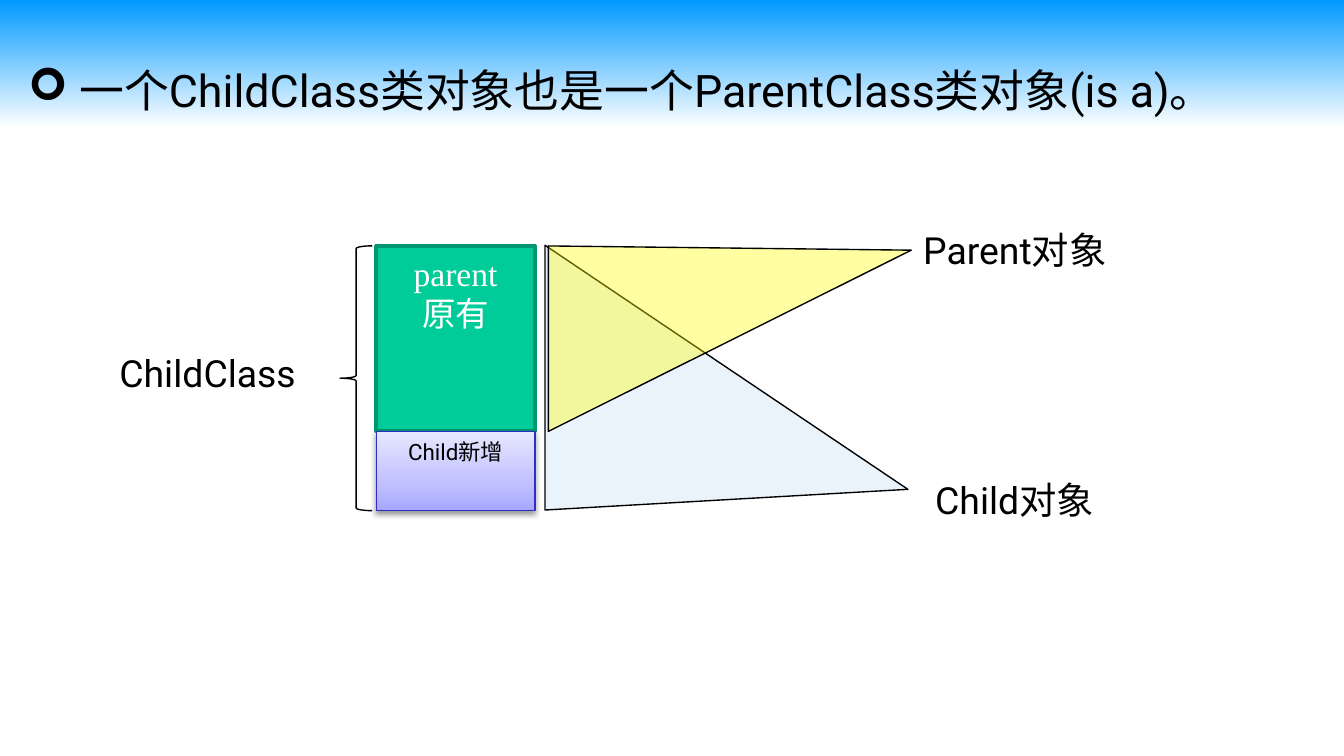
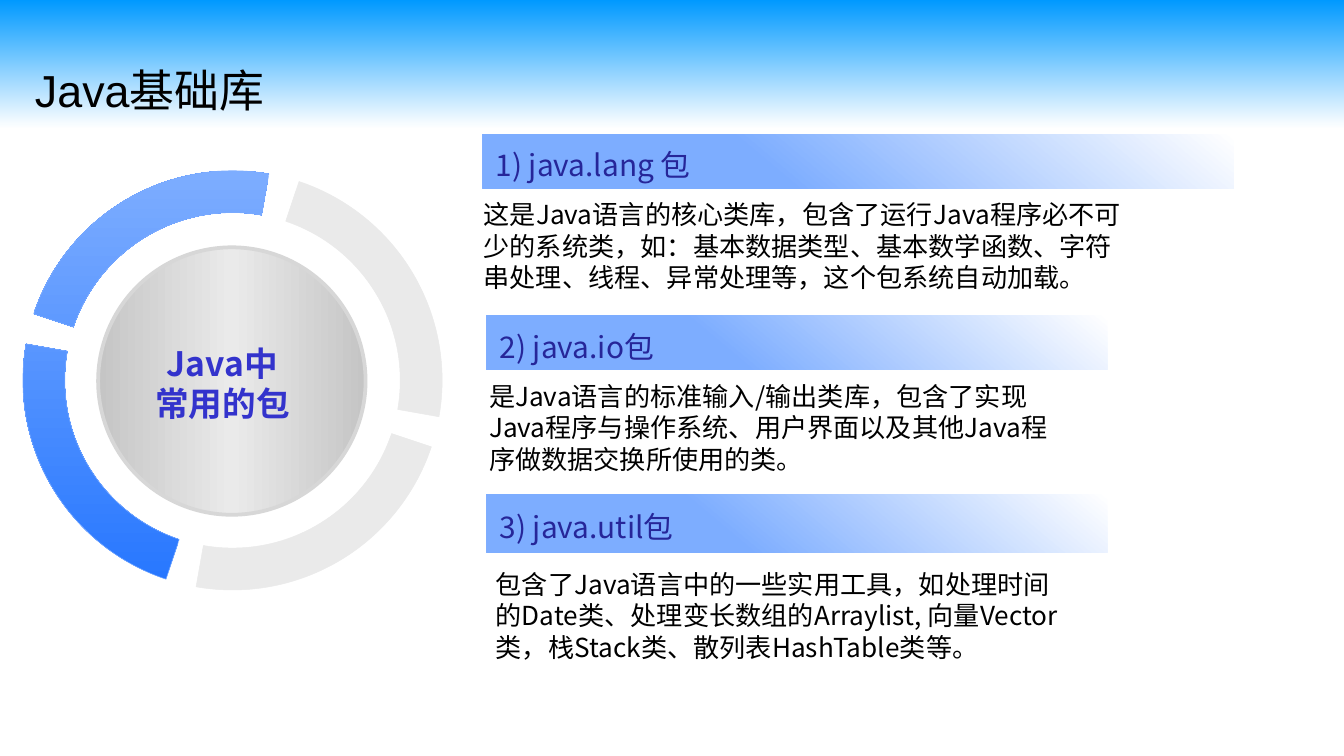
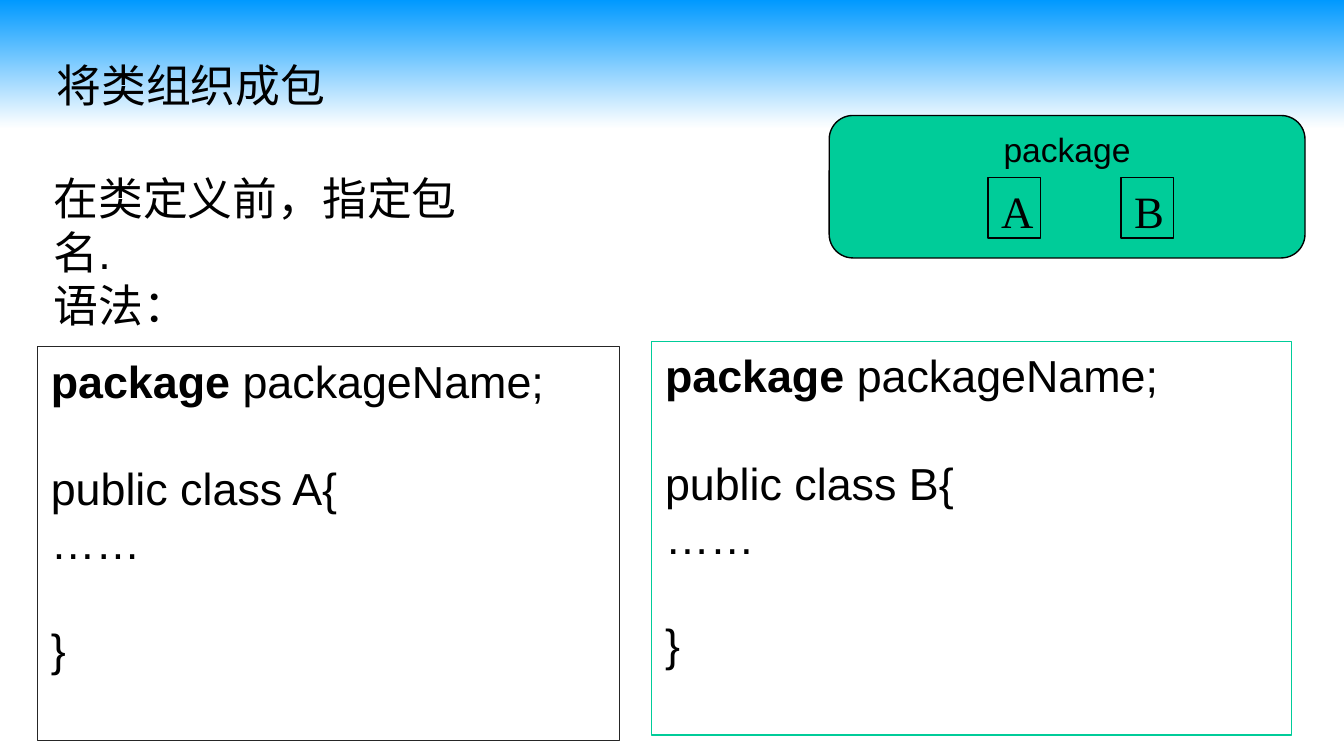
from dataclasses import dataclass

from pptx import Presentation
from pptx.dml.color import RGBColor
from pptx.enum.shapes import MSO_SHAPE
from pptx.enum.text import MSO_ANCHOR, MSO_AUTO_SIZE, PP_ALIGN
from pptx.oxml.ns import qn
from pptx.util import Inches, Pt
from lxml import etree

RECT, ROUND_RECT = MSO_SHAPE.RECTANGLE, MSO_SHAPE.ROUNDED_RECTANGLE
TRIANGLE, BRACE = MSO_SHAPE.ISOSCELES_TRIANGLE, MSO_SHAPE.LEFT_BRACE
ARC, OVAL = MSO_SHAPE.BLOCK_ARC, MSO_SHAPE.OVAL
PROCESS = MSO_SHAPE.FLOWCHART_PROCESS
LEFT, CENTER = PP_ALIGN.LEFT, PP_ALIGN.CENTER
TOP, MIDDLE = MSO_ANCHOR.TOP, MSO_ANCHOR.MIDDLE
NO_FIT = MSO_AUTO_SIZE.NONE
TITLE_ONLY = 5


@dataclass(frozen=True)
class Theme:
    # Colours
    black: str = "000000"
    white: str = "FFFFFF"
    green: str = "00CC99"
    dark_green: str = "009771"
    violet: str = "2E2ECB"
    sky: str = "0070C0"
    yellow: str = "FFFF00"
    pale_grey: str = "EAEAEA"
    rim_grey: str = "D7D7D7"
    light_blue: str = "7DADFF"
    heading: str = "262699"
    hub: str = "3333CC"
    code_edge: str = "262626"
    # Gradients: stops (percent, colour) and clockwise angle
    page: tuple = (((0, "0099FF"), (17, "FFFFFF")), 90)
    lilac: tuple = (((0, "A7A7FF"), (35, "C1C1FF"), (100, "E7E7FF")), 270)
    blue: tuple = (((0, "2676FF"), (100, "7DADFF")), 270)
    steel: tuple = (((0, "C5C5C5"), (50, "EAEAEA"), (100, "C5C5C5")), 0)
    band: tuple = (((0, "FFFFFF"), (62, "7DADFF")), 130)
    # Fonts and type sizes
    arial: str = "Arial"
    roboto: str = "Roboto"
    serif: str = "Times New Roman"
    cjk: str = "Noto Sans CJK SC"
    symbol: str = "Wingdings"
    title: int = 24
    label: int = 20
    box: int = 18
    section: int = 16
    body: int = 14
    small: int = 12


T = Theme()


def rgb(value):
    return RGBColor.from_string(value)


def set_gradient(fill, holder, gradient):
    """Fill with any number of stops; holder is the element around the fill."""
    stops, angle = gradient
    fill.gradient()
    fill.gradient_angle = (360 - angle) % 360
    gs_list = holder.find(".//" + qn("a:gsLst"))
    for gs in list(gs_list):
        gs_list.remove(gs)
    for percent, color in stops:
        gs = etree.SubElement(gs_list, qn("a:gs"), pos=str(percent * 1000))
        etree.SubElement(gs, qn("a:srgbClr"), val=color)


def write(tf, paragraphs, size=T.body, font=T.arial, color=T.black, bold=False,
          align=LEFT, anchor=TOP, spacing=None, bullet=None, gaps=()):
    """Write paragraphs (a string, or a list of (text, bold) runs) in one format."""
    tf.word_wrap, tf.auto_size, tf.vertical_anchor = True, NO_FIT, anchor
    for i, runs in enumerate(paragraphs):
        p = tf.paragraphs[0] if i == 0 else tf.add_paragraph()
        p.alignment = align
        if spacing:
            p.line_spacing = spacing
        if i in gaps:
            p.space_before = Pt(size * 1.2)
        if bullet:
            ppr = p._p.get_or_add_pPr()
            ppr.set("marL", str(Inches(0.38)))
            ppr.set("indent", str(-Inches(0.38)))
            etree.SubElement(ppr, qn("a:buFont"), typeface=T.symbol)
            etree.SubElement(ppr, qn("a:buChar"), char=bullet)
        for text, is_bold in [(runs, bold)] if isinstance(runs, str) else runs:
            r = p.add_run()
            r.text = text
            r.font.name, r.font.size, r.font.bold = font, Pt(size), is_bold
            r.font.color.rgb = rgb(color)
            etree.SubElement(r._r.get_or_add_rPr(), qn("a:ea"), typeface=T.cjk)


class Deck:
    def __init__(self):
        self.prs = Presentation()
        self.prs.slide_width = Inches(10)
        self.prs.slide_height = Inches(10) * 9 // 16
        master = self.prs.slide_master
        set_gradient(master.background.fill, master.element, T.page)
        self.s = None

    def slide(self, title, box, **fmt):
        self.s = self.prs.slides.add_slide(self.prs.slide_layouts[TITLE_ONLY])
        sp = self.s.shapes.title
        sp.left, sp.top, sp.width, sp.height = map(Inches, box)
        write(sp.text_frame, [title], size=T.title, **fmt)

    def text(self, box, paragraphs, **fmt):
        sp = self.s.shapes.add_textbox(*map(Inches, box))
        write(sp.text_frame, paragraphs, **fmt)

    def shape(self, kind, box, fill=None, line=None, width=0.75, adj=(),
              rotation=0, alpha=None, paragraphs=(), **fmt):
        sp = self.s.shapes.add_shape(kind, *map(Inches, box))
        sp.shadow.inherit = False
        sp.rotation = rotation
        for i, value in enumerate(adj):
            sp.adjustments[i] = value
        sppr = sp._element.spPr
        if fill is None:
            sp.fill.background()
        elif isinstance(fill, tuple):
            set_gradient(sp.fill, sppr, fill)
        else:
            sp.fill.solid()
            sp.fill.fore_color.rgb = rgb(fill)
        if alpha:
            color = sppr.find(qn("a:solidFill"))[0]
            etree.SubElement(color, qn("a:alpha"), val=str(alpha * 1000))
        if line:
            sp.line.color.rgb = rgb(line)
            sp.line.width = Pt(width)
        else:
            sp.line.fill.background()
        if paragraphs:
            write(sp.text_frame, paragraphs, **fmt)
        return sp

    def drop_shadow(self, sp):
        effects = sp._element.spPr.find(qn("a:effectLst"))
        shadow = etree.SubElement(effects, qn("a:outerShdw"), blurRad=str(Pt(3.1)),
                                  dist=str(Pt(1.6)), dir="5400000", rotWithShape="0")
        color = etree.SubElement(shadow, qn("a:srgbClr"), val=T.black)
        etree.SubElement(color, qn("a:alpha"), val="38000")

    def section(self, band, heading, box, body):
        self.shape(PROCESS, band, T.band, paragraphs=[heading], size=T.section,
                   font=T.cjk, color=T.heading, anchor=MIDDLE, spacing=1.2)
        self.text(box, [body], font=T.cjk)

    def class_code(self, box, name, line):
        lines = [[("package ", True), ("packageName;", False)],
                 f"public class {name}{{", "……", "}"]
        self.shape(RECT, box, line=line, paragraphs=lines, size=T.title, gaps=(1, 3))


def is_a_slide(d):
    d.slide("一个ChildClass类对象也是一个ParentClass类对象(is a)。",
            (0.11, 0.42, 9.15, 0.5), font=T.roboto, bullet="➢")
    # Memory of a child object
    d.shape(RECT, (2.8, 1.83, 1.18, 1.38), T.green, T.dark_green, 2,
            paragraphs=["parent", "原有"], size=T.box, font=T.serif,
            color=T.white, align=CENTER)
    added = d.shape(RECT, (2.8, 3.21, 1.18, 0.59), T.lilac, T.violet,
                    paragraphs=["Child新增"], size=T.small, font=T.roboto, align=CENTER)
    d.drop_shadow(added)
    d.shape(BRACE, (2.53, 1.83, 0.24, 1.97), line=T.black)
    # Views of each reference
    d.shape(TRIANGLE, (4.42, 1.46, 1.97, 2.7), T.sky, T.black,
            adj=[0.922], rotation=90, alpha=8)
    d.shape(TRIANGLE, (4.74, 1.17, 1.38, 2.7), T.yellow, T.black,
            adj=[0.023], rotation=90, alpha=37)
    # Labels
    for box, label in [((6.86, 3.5, 1.44, 0.44), "Child对象"),
                       ((6.77, 1.64, 1.62, 0.44), "Parent对象"),
                       ((0.79, 2.56, 5, 0.44), "ChildClass")]:
        d.text(box, [label], size=T.label, font=T.roboto)


def library_slide(d):
    d.slide("Java基础库", (0.16, 0.42, 4.96, 0.5))
    # Ring of four arcs, clockwise from the lower right; 0.6 per degree
    arcs = [(T.pale_grey, T.pale_grey), (T.blue, T.light_blue),
            (T.blue, T.light_blue), (T.pale_grey, T.pale_grey)]
    for i, (fill, line) in enumerate(arcs):
        start = 18.5 + 90 * i
        end = (start + 81.5) % 360
        d.shape(ARC, (0.17, 1.27, 3.12, 3.12), fill, line, 0.25,
                adj=[start * 0.6, end * 0.6, 0.1])
    d.shape(OVAL, (0.73, 1.84, 1.99, 1.99), T.steel, T.rim_grey, 2)
    d.text((0.98, 2.5, 1.35, 0.71), ["Java中", "常用的包"], size=T.box,
           font=T.cjk, color=T.hub, bold=True, align=CENTER)
    # Package sections
    d.section((3.59, 1, 5.59, 0.4), "1) java.lang 包", (3.5, 1.43, 4.95, 0.92),
              "这是Java语言的核心类库，包含了运行Java程序必不可少的系统类，如：基本数据类型、"
              "基本数学函数、字符串处理、线程、异常处理等，这个包系统自动加载。")
    d.section((3.62, 2.35, 4.62, 0.4), "2) java.io包", (3.54, 2.78, 4.41, 0.81),
              "是Java语言的标准输入/输出类库，包含了实现Java程序与操作系统、"
              "用户界面以及其他Java程序做数据交换所使用的类。")
    d.section((3.62, 3.68, 4.62, 0.43), "3) java.util包", (3.59, 4.18, 4.4, 0.81),
              "包含了Java语言中的一些实用工具，如处理时间的Date类、处理变长数组的Arraylist, "
              "向量Vector类，栈Stack类、散列表HashTable类等。")


def package_slide(d):
    d.slide("将类组织成包", (0.32, 0.38, 2.22, 0.5))
    d.text((0.3, 1.22, 3.45, 0.91), ["在类定义前，指定包名.", "语法："], size=T.title)
    # Package holding two classes
    d.shape(ROUND_RECT, (6.17, 0.86, 3.54, 1.06), T.green, T.black,
            paragraphs=["package"], size=T.box, align=CENTER)
    for left, name in [(7.35, "A"), (8.34, "B")]:
        d.shape(RECT, (left, 1.32, 0.39, 0.45), T.green, T.black,
                paragraphs=[name], size=T.title, font=T.serif)
    # Source of each class
    d.class_code((0.28, 2.58, 4.33, 2.93), "A", T.code_edge)
    d.class_code((4.85, 2.54, 4.76, 2.93), "B", T.green)


def main():
    d = Deck()
    is_a_slide(d)
    library_slide(d)
    package_slide(d)
    d.prs.save("out.pptx")


if __name__ == "__main__":
    main()
